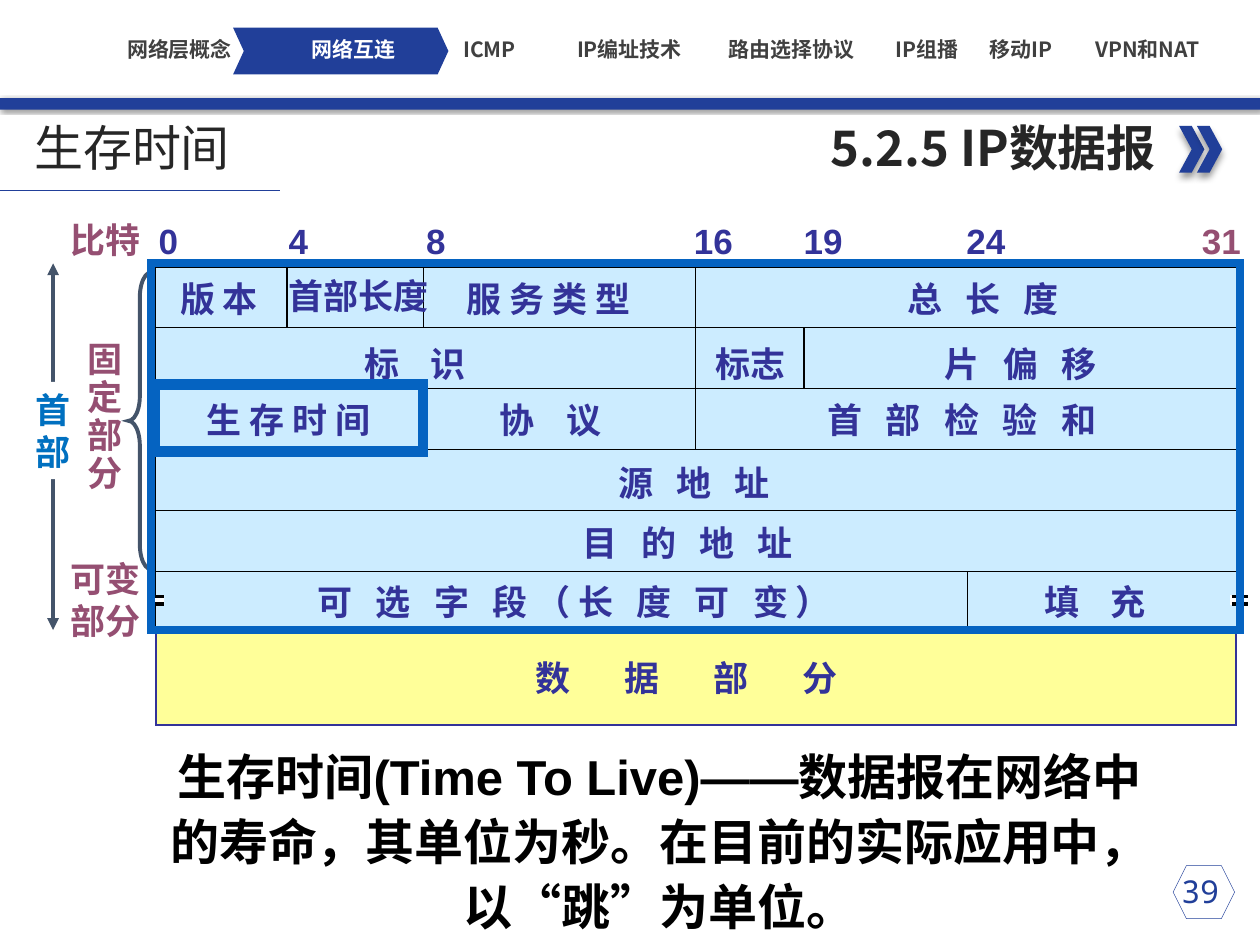
from dataclasses import dataclass

from lxml.etree import SubElement
from pptx import Presentation
from pptx.dml.color import RGBColor
from pptx.enum.lang import MSO_LANGUAGE_ID
from pptx.enum.shapes import MSO_CONNECTOR, MSO_SHAPE
from pptx.enum.text import MSO_ANCHOR, PP_ALIGN
from pptx.oxml.ns import qn
from pptx.util import Cm, Pt


@dataclass(frozen=True)
class Theme:
    navy: str = "213F99"
    indigo: str = "333399"
    plum: str = "954F72"
    sky: str = "0070C0"
    frame: str = "0563C1"
    slate: str = "44546A"
    ink: str = "262626"
    grey: str = "404040"
    black: str = "000000"
    white: str = "FFFFFF"
    header: str = "CCECFF"
    data: str = "FFFF99"
    title_size: int = 28
    label_size: int = 20
    page_size: int = 18
    tab_size: int = 12
    latin: str = "Arial"
    chinese: str = "Noto Sans CJK SC"
    mono: str = "Noto Sans Mono"


class SlideBuilder:
    def __init__(self, slide, theme):
        self.slide = slide
        self.theme = theme

    def box(self, left, top, width, height, kind=MSO_SHAPE.RECTANGLE,
            fill=None, line=None, weight=1, adjust=None):
        shape = self.slide.shapes.add_shape(
            kind, Cm(left), Cm(top), Cm(width), Cm(height))
        shape.shadow.inherit = False
        if fill:
            shape.fill.solid()
            shape.fill.fore_color.rgb = RGBColor.from_string(fill)
        else:
            shape.fill.background()
        if line:
            shape.line.color.rgb = RGBColor.from_string(line)
            shape.line.width = Pt(weight)
            SubElement(shape.line._get_or_add_ln(), qn("a:miter"), lim="800000")
        else:
            shape.line.fill.background()
        for index, value in enumerate(adjust or []):
            shape.adjustments[index] = value
        return shape

    def cast_shadow(self, shape, blur, distance, degrees):
        effects = shape._element.spPr.find(qn("a:effectLst"))
        shadow = SubElement(effects, qn("a:outerShdw"), blurRad=str(Pt(blur)),
                            dist=str(Pt(distance)), dir=str(degrees * 60000),
                            algn="t", rotWithShape="0")
        color = SubElement(shadow, qn("a:srgbClr"), val=self.theme.black)
        SubElement(color, qn("a:alpha"), val="40000")

    def line(self, start, end, color, weight=1, arrows=False):
        connector = self.slide.shapes.add_connector(
            MSO_CONNECTOR.STRAIGHT, *map(Cm, (*start, *end)))
        connector.line.color.rgb = RGBColor.from_string(color)
        connector.line.width = Pt(weight)
        if arrows:
            for tag in ("a:headEnd", "a:tailEnd"):
                SubElement(connector.line._get_or_add_ln(), qn(tag), type="triangle")
        SubElement(connector._element.spPr, qn("a:effectLst"))

    def text(self, left, top, width, height, text, size, color, font=None,
             bold=True, align=PP_ALIGN.CENTER, anchor=MSO_ANCHOR.TOP,
             inset=(0.25, 0.13), wrap=True, spacing=0, line_spacing=None):
        """Add a text box; spacing is extra points after each character."""
        shape = self.slide.shapes.add_textbox(
            Cm(left), Cm(top), Cm(width), Cm(height))
        frame = shape.text_frame
        frame.text = text
        frame.word_wrap = wrap
        frame.vertical_anchor = anchor
        frame.margin_left = frame.margin_right = Cm(inset[0])
        frame.margin_top = frame.margin_bottom = Cm(inset[1])
        for paragraph in frame.paragraphs:
            paragraph.alignment = align
            if line_spacing:
                paragraph.line_spacing = line_spacing
            for run in paragraph.runs:
                run.font.name = font or self.theme.chinese
                run.font.size = Pt(size)
                run.font.bold = bold
                run.font.color.rgb = RGBColor.from_string(color)
                run.font.language_id = MSO_LANGUAGE_ID.SIMPLIFIED_CHINESE
                properties = run.font._element
                SubElement(properties, qn("a:ea"), typeface=self.theme.chinese)
                if spacing:
                    properties.set("spc", str(round(spacing * 100)))

    def label(self, centre, top, text, color, extra_spaces=0, line_spacing=1):
        """Add a label fitted to its text; extra_spaces widens each gap."""
        lines = text.split("\n")
        width = 0.5 + sum(
            0.2 * (1 + extra_spaces) if character == " "
            else 0.4 if character.isascii() else 0.71
            for character in lines[0])
        height = 0.25 + 0.85 * len(lines) * line_spacing
        self.text(centre - width / 2, top, width, height, text,
                  self.theme.label_size, color, self.theme.latin,
                  align=PP_ALIGN.LEFT, wrap=False, spacing=extra_spaces * 2.2,
                  line_spacing=line_spacing)


GRID_LEFT, GRID_TOP, GRID_WIDTH, ROW = 3.05, 5.37, 21.94, 1.23
FLAGS_END = 19.2
TABS = [(1.78, "网络层概念"), (5.28, "网络互连"), (8.03, "ICMP"),
        (10.85, "IP编址技术"), (14.12, "路由选择协议"), (16.84, "IP组播"),
        (18.75, "移动IP"), (21.29, "VPN和NAT")]
ACTIVE_TAB = "网络互连"
BITS = [(3.4, "0"), (6.02, "4"), (8.79, "8"), (14.39, "16"), (16.6, "19"),
        (19.88, "24")]
# (bit, first row, last row)
DIVIDERS = [(4, 0, 1), (8, 0, 1), (8, 2, 3), (16, 0, 3), (FLAGS_END, 1, 2),
            (24, 5, 6)]
# (text top, [(centre, text, extra spaces in each gap)])
FIELD_ROWS = [
    (5.46, [(4.44, "版 本", 0), (11.13, "服 务 类 型", 0),
            (19.95, "总 长 度", 2)]),
    (5.41, [(7.23, "首部长度", 0)]),
    (6.78, [(8.45, "标 识", 3), (15.14, "标志", 0), (20.71, "片 偏 移", 2)]),
    (7.9, [(5.89, "生 存 时 间", 0), (11.19, "协 议", 3),
           (19.66, "首 部 检 验 和", 2)]),
    (9.17, [(14.13, "源 地 址", 2)]),
    (10.39, [(14.07, "目 的 地 址", 2)]),
    (11.58, [(11.75, "可 选 字 段（长 度 可 变）", 2), (22.16, "填 充", 3)]),
    (13.11, [(14.31, "数 据 部 分", 6)]),
]


def bit_x(bit):
    return GRID_LEFT + GRID_WIDTH * bit / 32


def row_y(row):
    return GRID_TOP + ROW * row


def draw_heading(builder, theme):
    bar = builder.box(0, 1.98, 25.4, 0.23, fill=theme.navy)
    builder.cast_shadow(bar, 2, 1, 45)
    for left in (23.77, 24.13):
        chevron = builder.box(left, 2.54, 0.51, 0.94, MSO_SHAPE.CHEVRON, theme.navy)
        builder.cast_shadow(chevron, 4, 3, 90)
    builder.text(1.93, 2.24, 21.62, 1.45, "5.2.5 IP数据报", theme.title_size,
                 theme.ink, align=PP_ALIGN.RIGHT)
    builder.line((0, 3.84), (5.64, 3.84), theme.navy, 0.5)
    builder.text(0.44, 2.34, 6.14, 1.24, "生存时间", theme.title_size, theme.ink,
                 bold=False, align=PP_ALIGN.LEFT, anchor=MSO_ANCHOR.MIDDLE)
    builder.box(4.7, 0.56, 4.34, 0.94, MSO_SHAPE.CHEVRON, theme.navy, adjust=[0.23])
    for left, name in TABS:
        builder.text(left, 0.74, 3.68, 0.51, name, theme.tab_size,
                     theme.white if name == ACTIVE_TAB else theme.grey,
                     anchor=MSO_ANCHOR.MIDDLE, inset=(0, 0))


def draw_datagram(builder, theme):
    right = bit_x(32)
    builder.box(3.12, 5.36, 21.84, 7.34, fill=theme.header, line=theme.black, weight=2)
    builder.box(3.15, 12.73, 21.77, 1.88, fill=theme.data, line=theme.indigo)
    for row in range(1, 6):
        builder.line((GRID_LEFT, row_y(row)), (right, row_y(row)), theme.black)
    for bit, first, last in DIVIDERS:
        builder.line((bit_x(bit), row_y(first)), (bit_x(bit), row_y(last)), theme.black)
    for top, fields in FIELD_ROWS:
        for centre, name, extra_spaces in fields:
            builder.label(centre, top, name, theme.indigo, extra_spaces)
    for left in (2.95, 24.8):
        builder.box(left, 12, 0.36, 0.2, fill=theme.white)
        for y in (12.02, 12.18):
            builder.line((left + 0.03, y), (left + 0.35, y), theme.black, 2)
    builder.box(GRID_LEFT, 5.31, GRID_WIDTH, 7.39, line=theme.frame, weight=4.5)
    builder.box(3.12, 7.75, 5.41, 1.35, line=theme.frame, weight=6)


def draw_scales(builder, theme):
    for centre, bit in BITS:
        builder.label(centre, 4.29, bit, theme.indigo)
    builder.label(24.63, 4.29, "31", theme.plum)
    builder.label(2.13, 4.27, "比特", theme.plum)
    builder.box(2.59, 5.49, 0.46, 5.99, MSO_SHAPE.LEFT_BRACE,
                line=theme.slate, weight=2.25, adjust=[1.08, 0.5])
    builder.label(2.11, 6.78, "固\n定\n部\n分", theme.plum, line_spacing=0.9)
    builder.label(2.13, 11.1, "可变\n部分", theme.plum)
    builder.line((1.07, 5.31), (1.07, 12.7), theme.slate, 2.25, arrows=True)
    builder.box(0.46, 7.7, 1.22, 1.96, fill=theme.white)
    builder.label(1.07, 7.7, "首\n部", theme.sky)


def main():
    presentation = Presentation()
    presentation.slide_width, presentation.slide_height = Cm(25.4), Cm(19.05)
    theme = Theme()
    slide = presentation.slides.add_slide(presentation.slide_layouts[6])
    builder = SlideBuilder(slide, theme)
    draw_heading(builder, theme)
    draw_scales(builder, theme)
    draw_datagram(builder, theme)
    builder.text(3.07, 14.81, 20.45, 4.24,
                 "生存时间(Time To Live)——数据报在网络中的寿命，其单位为秒。"
                 "在目前的实际应用中，以“跳”为单位。",
                 theme.title_size, theme.black, theme.latin, line_spacing=1.1)
    builder.box(23.65, 17.45, 1.24, 1.07, MSO_SHAPE.HEXAGON, line=theme.navy, weight=0.25)
    builder.text(23.09, 17.45, 2.21, 1.02, "39", theme.page_size, theme.navy,
                 theme.mono, bold=False)
    presentation.save("out.pptx")


if __name__ == "__main__":
    main()
